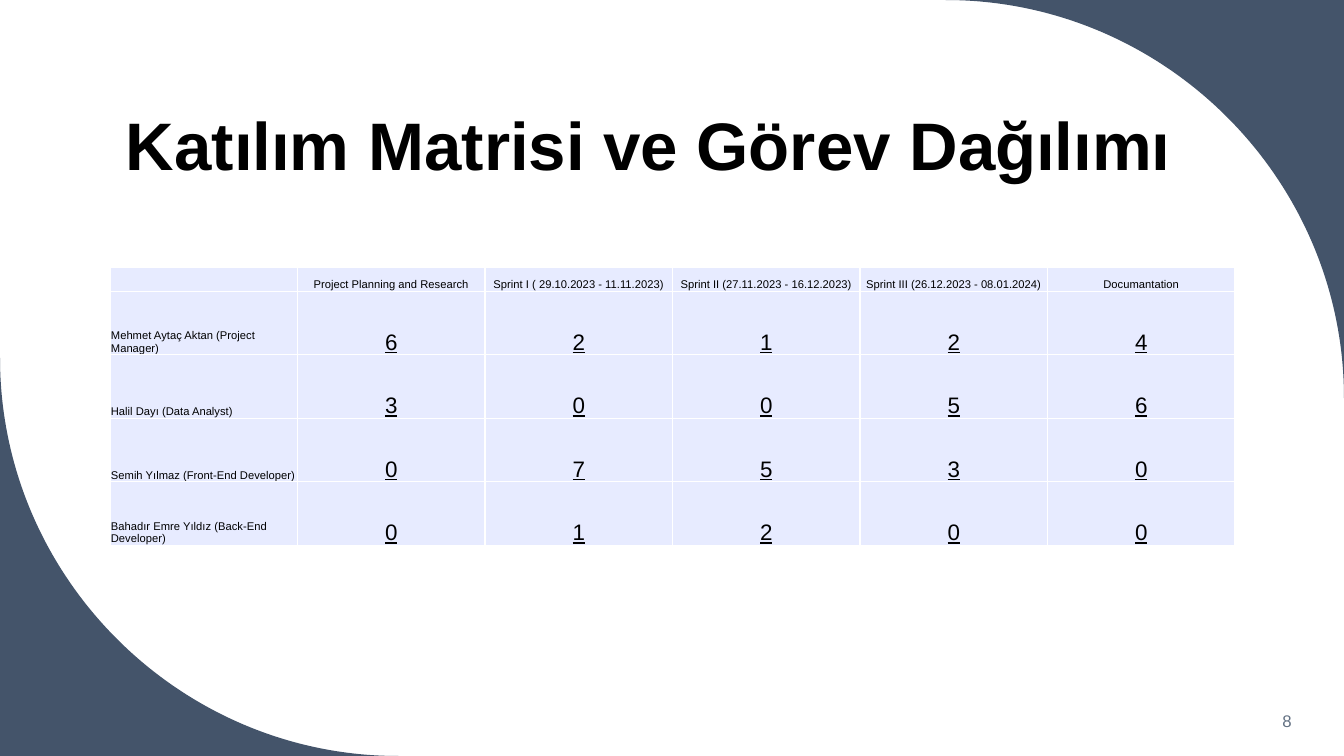
from dataclasses import dataclass

from lxml import etree
from pptx import Presentation
from pptx.dml.color import RGBColor
from pptx.enum import text
from pptx.oxml import ns
from pptx.util import Inches, Pt


@dataclass(frozen=True)
class Theme:
    font: str = "Arial"
    slate: str = "44546A"
    ink: str = "000000"
    cell: str = "E7EBFF"
    rule: str = "FFFFFF"
    number: str = "637183"
    title_size: int = 48
    label_size: int = 8
    score_size: int = 16
    number_size: int = 12


THEME = Theme()
WIDTH, HEIGHT = 13.33, 7.5
CORNER = 3.95
ARC_PULL = 0.55  # control point distance of a quarter circle, as a share of its radius
UNITS = 1000  # outline units per inch
HEADER_ROW = 0.24

PHASES = [
    "",
    "Project Planning and Research",
    "Sprint I ( 29.10.2023 - 11.11.2023)",
    "Sprint II (27.11.2023 - 16.12.2023)",
    "Sprint III (26.12.2023 - 08.01.2024)",
    "Documantation",
]
MEMBERS = [
    ("Mehmet Aytaç Aktan (Project Manager)", 6, 2, 1, 2, 4),
    ("Halil Dayı (Data Analyst)", 3, 0, 0, 5, 6),
    ("Semih Yılmaz (Front-End Developer)", 0, 7, 5, 3, 0),
    ("Bahadır Emre Yıldız (Back-End Developer)", 0, 1, 2, 0, 0),
]


def add_run(paragraph, words, size, color, bold=False, underline=False):
    run = paragraph.add_run()
    run.text = words
    run.font.name = THEME.font
    run.font.size = Pt(size)
    run.font.bold = bold
    run.font.underline = underline
    run.font.color.rgb = RGBColor.from_string(color)


def add_corner(slide, tip, inward_x, inward_y):
    """Fill a slide corner up to a quarter circle; inward signs point into the slide."""
    tip_x, tip_y = (round(length * UNITS) for length in tip)
    reach = round(CORNER * UNITS)
    on_edge = (tip_x + inward_x * reach, tip_y)
    on_side = (tip_x, tip_y + inward_y * reach)
    builder = slide.shapes.build_freeform(*on_edge, scale=Inches(1) / UNITS)
    builder.add_line_segments([on_side, (tip_x, tip_y)], close=True)
    corner = builder.convert_to_shape()

    # Bend the first segment into the arc
    start, end, point = [(int(pt.get("x")), int(pt.get("y")))
                         for pt in corner._element.iter(ns.qn("a:pt"))]
    chord = next(corner._element.iter(ns.qn("a:lnTo")))
    arc = etree.Element(ns.qn("a:cubicBezTo"))
    pulls = [[round(a + (b - a) * ARC_PULL) for a, b in zip(origin, point)]
             for origin in (start, end)]
    for x, y in (*pulls, end):
        etree.SubElement(arc, ns.qn("a:pt"), x=str(x), y=str(y))
    chord.getparent().replace(chord, arc)

    corner.shadow.inherit = False
    corner.fill.solid()
    corner.fill.fore_color.rgb = RGBColor.from_string(THEME.slate)
    corner.line.fill.background()


def add_text(slide, box, anchor, align, words, size, color, bold=False):
    frame = slide.shapes.add_textbox(*map(Inches, box)).text_frame
    frame.word_wrap = True
    frame.vertical_anchor = anchor
    paragraph = frame.paragraphs[0]
    paragraph.alignment = align
    paragraph.line_spacing = 0.9 if bold else 1.0
    add_run(paragraph, words, size, color, bold)


def style_cell(cell):
    cell.vertical_anchor = text.MSO_ANCHOR.BOTTOM
    cell.margin_left = cell.margin_right = cell.margin_top = Inches(0.01)
    cell.margin_bottom = 0
    properties = cell._tc.get_or_add_tcPr()
    for side in ("lnL", "lnR", "lnT", "lnB"):
        border = etree.SubElement(properties, ns.qn(f"a:{side}"), w=str(Pt(1)))
        fill = etree.SubElement(border, ns.qn("a:solidFill"))
        etree.SubElement(fill, ns.qn("a:srgbClr"), val=THEME.rule)
    cell.fill.solid()
    cell.fill.fore_color.rgb = RGBColor.from_string(THEME.cell)


def add_matrix(slide, box):
    rows = [PHASES, *MEMBERS]
    matrix = slide.shapes.add_table(len(rows), len(PHASES), *map(Inches, box)).table
    matrix.first_row = matrix.horz_banding = False
    for column in matrix.columns:
        column.width = Inches(box[2] / len(PHASES))
    member_row = (box[3] - HEADER_ROW) / len(MEMBERS)
    for r, entries in enumerate(rows):
        matrix.rows[r].height = Inches(member_row if r else HEADER_ROW)
        for c, entry in enumerate(entries):
            cell = matrix.cell(r, c)
            style_cell(cell)
            paragraph = cell.text_frame.paragraphs[0]
            paragraph.alignment = text.PP_ALIGN.CENTER if c else text.PP_ALIGN.LEFT
            if entry == "":
                # Keep the empty cell as low as its row
                etree.SubElement(paragraph._p, ns.qn("a:endParaRPr"),
                                 sz=str(THEME.label_size * 100))
                continue
            is_score = isinstance(entry, int)
            size = THEME.score_size if is_score else THEME.label_size
            add_run(paragraph, str(entry), size, THEME.ink, underline=is_score)


def main():
    deck = Presentation()
    deck.slide_width, deck.slide_height = Inches(WIDTH), Inches(HEIGHT)
    slide = deck.slides.add_slide(deck.slide_layouts[6])

    # Curved corners: top right, bottom left
    add_corner(slide, (WIDTH, 0), -1, 1)
    add_corner(slide, (0, HEIGHT), 1, -1)

    # Title
    add_text(slide, (1.09, 0.43, 10.69, 1.45), text.MSO_ANCHOR.BOTTOM,
             text.PP_ALIGN.CENTER, "Katılım Matrisi ve Görev Dağılımı",
             THEME.title_size, THEME.ink, bold=True)

    # Participation matrix
    add_matrix(slide, (1.09, 2.65, 11.16, 2.76))

    # Slide number
    add_text(slide, (11.1, 6.95, 1.81, 0.4), text.MSO_ANCHOR.MIDDLE,
             text.PP_ALIGN.RIGHT, "8", THEME.number_size, THEME.number)

    deck.save("out.pptx")


if __name__ == "__main__":
    main()
